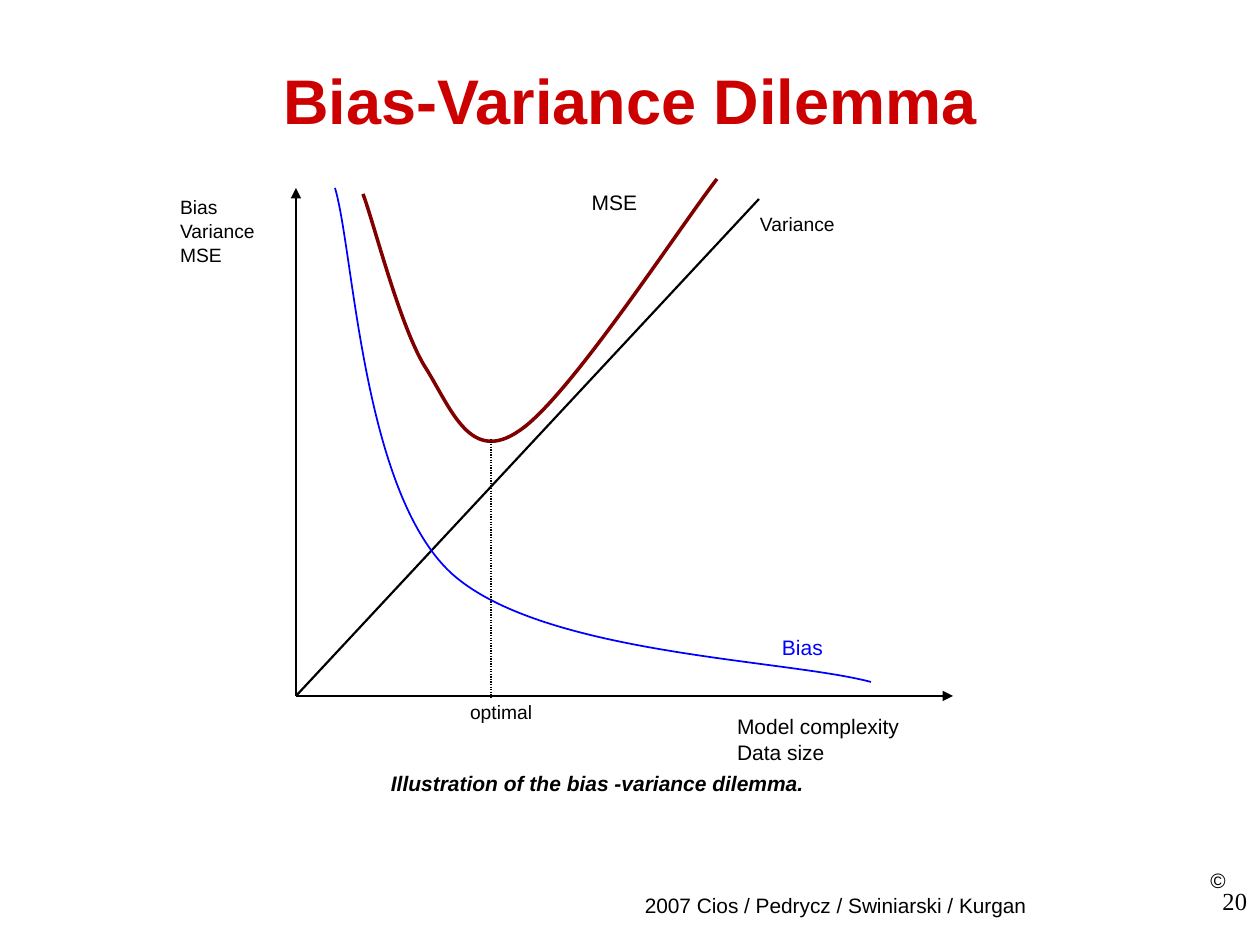
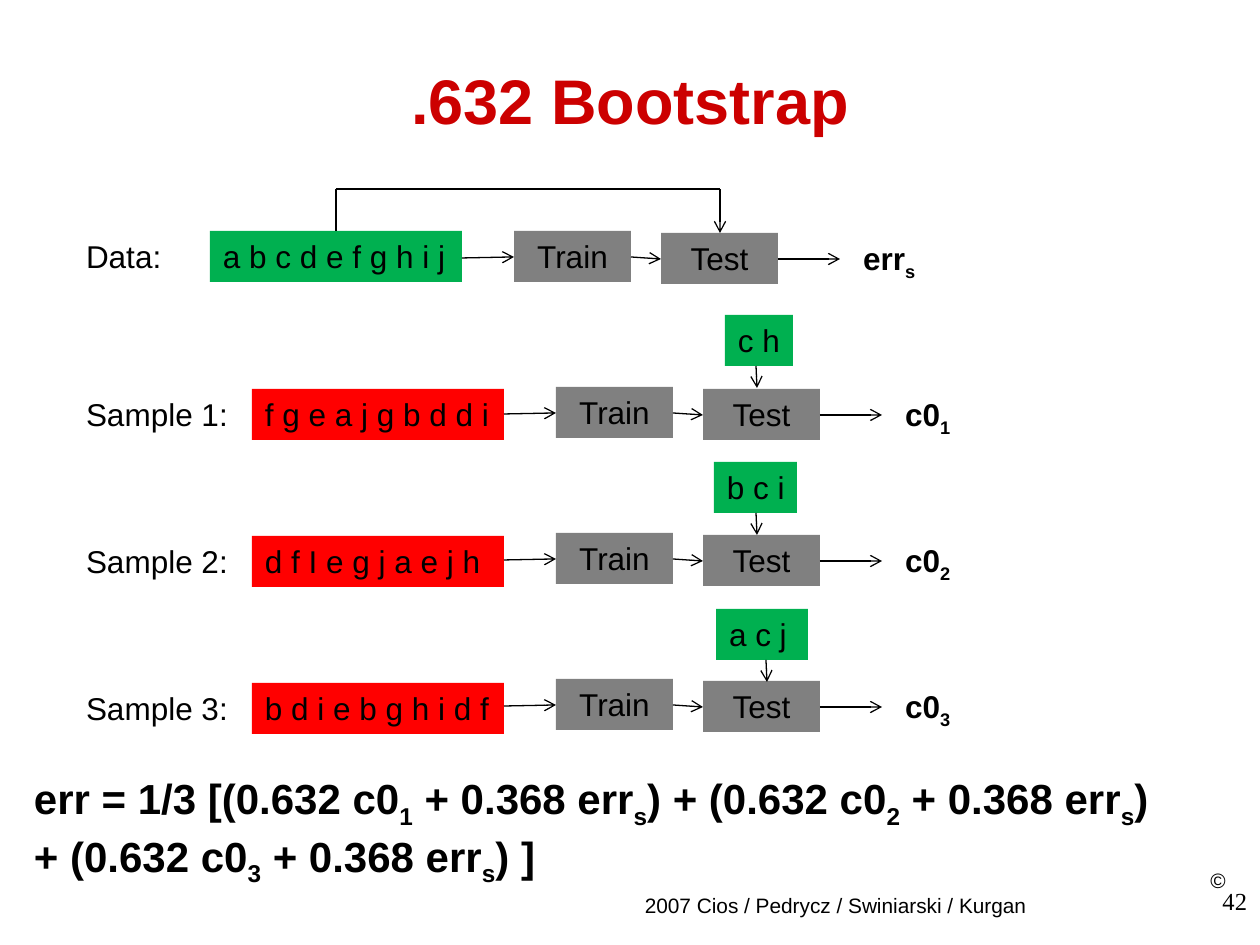
import pptx
import pptx.dml.color
import pptx.enum.dml
import pptx.enum.shapes
import pptx.enum.text
import pptx.oxml
import pptx.oxml.ns
import pptx.util

RGBColor = pptx.dml.color.RGBColor
Align = pptx.enum.text.PP_ALIGN

PX_PER_INCH = 126
SLIDE_WIDTH, SLIDE_HEIGHT = 1260, 945
TITLE_ONLY = 5

BLACK = RGBColor(0x00, 0x00, 0x00)
WHITE = RGBColor(0xFF, 0xFF, 0xFF)
TITLE_RED = RGBColor(0xCC, 0x00, 0x00)
MSE_MAROON = RGBColor(0x80, 0x00, 0x00)
BIAS_BLUE = RGBColor(0x00, 0x00, 0xFF)
DATA_GREEN = RGBColor(0x00, 0xB0, 0x50)
SAMPLE_RED = RGBColor(0xFF, 0x00, 0x00)
STEP_GRAY = RGBColor(0x80, 0x80, 0x80)

# Bootstrap diagram measures
BOX_HEIGHT = 51
DATA_WIDTH = 252
STEP_WIDTH = 117
ROW_PITCH = 147
STEP_PITCH = 146


def emu(px):
    return round(px * 914400 / PX_PER_INCH)


def add_element(parent, tag, **attributes):
    element = parent.makeelement(pptx.oxml.ns.qn(tag), attributes)
    parent.append(element)
    return element


def format_run(run, size, color=BLACK, bold=False, italic=False, font="Arial"):
    run.font.name = font
    run.font.size = pptx.util.Pt(size)
    run.font.color.rgb = color
    run.font.bold = bold
    run.font.italic = italic


def add_runs(paragraph, text):
    """Add runs; an underscore sets the next character as a subscript."""
    first, *rest = text.split("_")
    pieces = [(first, False)]
    for piece in rest:
        pieces += [(piece[0], True), (piece[1:], False)]
    for piece, subscript in pieces:
        if piece:
            run = paragraph.add_run()
            run.text = piece
            if subscript:
                run.font._element.set("baseline", "-25000")


def add_text(slide, box, text, size, align=Align.LEFT, fill=None, inset=True,
             line_spacing=None, **font):
    left, top, width, height = map(emu, box)
    if fill is None:
        shape = slide.shapes.add_textbox(left, top, width, height)
    else:
        shape = slide.shapes.add_shape(
            pptx.enum.shapes.MSO_SHAPE.RECTANGLE, left, top, width, height)
        shape.shadow.inherit = False
        shape.fill.solid()
        shape.fill.fore_color.rgb = fill
        shape.line.fill.background()
    frame = shape.text_frame
    frame.word_wrap = True
    frame.vertical_anchor = pptx.enum.text.MSO_ANCHOR.TOP
    side, edge = (emu(13), emu(6)) if inset else (0, 0)
    frame.margin_left = side
    # Left-aligned text may use the full width on the right
    frame.margin_right = 0 if align == Align.LEFT else side
    frame.margin_top = frame.margin_bottom = edge
    for index, line in enumerate(text.split("\n")):
        paragraph = frame.add_paragraph() if index else frame.paragraphs[0]
        paragraph.alignment = align
        paragraph.line_spacing = line_spacing
        add_runs(paragraph, line)
        for run in paragraph.runs:
            format_run(run, size, **font)
    return shape


def add_line(slide, start, end, arrow=None, width=0.75, dash=None):
    connector = slide.shapes.add_connector(
        pptx.enum.shapes.MSO_CONNECTOR.STRAIGHT, *map(emu, (*start, *end)))
    connector.line.color.rgb = BLACK
    connector.line.width = pptx.util.Pt(width)
    if dash is not None:
        connector.line.dash_style = dash
    if arrow:
        add_element(connector.line._get_or_add_ln(), "a:tailEnd", type=arrow)
    add_element(connector._element.spPr, "a:effectLst")


def add_curve(slide, points, color, width):
    """Draw a chain of cubic curves that share their end points."""
    ends = [tuple(map(emu, point)) for point in points[::3]]
    builder = slide.shapes.build_freeform(*ends[0])
    builder.add_line_segments(ends[1:], close=False)
    curve = builder.convert_to_shape()
    curve.shadow.inherit = False
    curve.fill.background()
    curve.line.color.rgb = color
    curve.line.width = pptx.util.Pt(width)
    # Bend each straight segment with its two control points
    outline = next(curve._element.iter(pptx.oxml.ns.qn("a:path")))
    for segment in outline.findall(pptx.oxml.ns.qn("a:lnTo")):
        outline.remove(segment)
    for first in range(1, len(points), 3):
        bend = add_element(outline, "a:cubicBezTo")
        for x, y in points[first:first + 3]:
            add_element(bend, "a:pt", x=str(emu(x) - curve.left),
                        y=str(emu(y) - curve.top))


def add_titled_slide(presentation, title_text, number):
    slide = presentation.slides.add_slide(
        presentation.slide_layouts[TITLE_ONLY])
    title = slide.shapes.title
    title.left, title.top, title.width, title.height = map(
        emu, (63, 20, 1134, 158))
    title.text_frame.text = title_text
    title.text_frame.vertical_anchor = pptx.enum.text.MSO_ANCHOR.MIDDLE
    paragraph = title.text_frame.paragraphs[0]
    paragraph.alignment = Align.CENTER
    format_run(paragraph.runs[0], 36, TITLE_RED, bold=True)
    # Footer, whose first line is indented to the right edge
    footer = add_text(slide, (431, 862, 809, 66),
                      "© 2007 Cios / Pedrycz / Swiniarski / Kurgan",
                      11.9, Align.CENTER)
    properties = footer.text_frame.paragraphs[0]._p.get_or_add_pPr()
    properties.set("marL", "0")
    properties.set("indent", str(emu(765)))
    # Slide number
    add_text(slide, (967, 880, 293, 65), str(number), 14, Align.RIGHT,
             font="Times New Roman")
    return slide


def add_dilemma_slide(presentation):
    slide = add_titled_slide(presentation, "Bias-Variance Dilemma", 20)
    # Axes
    origin = (296, 696)
    add_line(slide, origin, (296, 188), arrow="triangle")
    add_line(slide, origin, (953, 696), arrow="triangle")
    add_text(slide, (167, 188, 110, 117), "Bias Variance MSE", 11,
             line_spacing=1.04)
    add_text(slide, (737, 714, 219, 83), "Model complexity\nData size", 12,
             inset=False)
    # Variance, bias and error
    add_line(slide, origin, (759, 199), width=1.25)
    add_curve(slide, [(335, 188), (354, 252), (362, 490), (451, 573),
                      (541, 655), (784, 659), (871, 682)], BIAS_BLUE, 1)
    add_curve(slide, [(363, 194), (374, 223), (401, 331), (427, 370),
                      (452, 411), (471, 464), (519, 431),
                      (568, 399), (677, 231), (717, 179)], MSE_MAROON, 2)
    add_line(slide, (491, 439), (491, 699),
             dash=pptx.enum.dml.MSO_LINE.ROUND_DOT)
    # Labels
    add_text(slide, (457, 693, 110, 59), "optimal", 11, line_spacing=1.04)
    add_text(slide, (769, 629, 110, 59), "Bias", 12, color=BIAS_BLUE)
    add_text(slide, (747, 205, 127, 59), "Variance", 11, line_spacing=1.04)
    add_text(slide, (570, 190, 89, 33), "MSE", 12, Align.CENTER, WHITE,
             inset=False)
    add_text(slide, (280, 765, 635, 66),
             "Illustration of the bias -variance dilemma.", 12, Align.CENTER,
             WHITE, bold=True, italic=True)


def add_pipeline(slide, label, items, result, data_left, top, step_top, fill):
    """Draw one row: data, training, testing and the resulting error."""
    data_right = data_left + DATA_WIDTH
    train_left = data_right + 52
    train_right = train_left + STEP_WIDTH
    test_left = train_right + 30
    test_right = test_left + STEP_WIDTH
    test_top = step_top + 2
    train_middle, test_middle = step_top + 26, test_top + 26

    add_text(slide, (73, top, 168, BOX_HEIGHT), label, 18)
    add_text(slide, (data_left, top, DATA_WIDTH, BOX_HEIGHT), items, 18,
             fill=fill)
    add_text(slide, (train_left, step_top, STEP_WIDTH, BOX_HEIGHT), "Train",
             18, Align.CENTER, STEP_GRAY)
    add_text(slide, (test_left, test_top, STEP_WIDTH, BOX_HEIGHT), "Test",
             18, Align.CENTER, STEP_GRAY)
    add_text(slide, (test_right + 72, test_top, 95, 55), result, 18, bold=True)
    for start, end in (
            ((data_right, train_middle + 1), (train_left, train_middle)),
            ((train_right, train_middle), (test_left, test_middle)),
            ((test_right, test_middle), (test_right + 62, test_middle))):
        add_line(slide, start, end, arrow="arrow")


def add_bootstrap_slide(presentation):
    slide = add_titled_slide(presentation, ".632 Bootstrap", 42)
    # Whole data set, used for both training and testing
    add_pipeline(slide, "Data:", "a b c d e f g h i j", "err_s", 210, 231, 231,
                 DATA_GREEN)
    add_line(slide, (336, 231), (336, 189))
    add_line(slide, (336, 189), (720, 189))
    add_line(slide, (720, 189), (720, 233), arrow="arrow")
    # Samples, tested on the items left out of each
    samples = (
        ("f g e a j g b d d i", "c h", 725, 68, 756),
        ("d f I e g j a e j h", "b c i", 714, 83, 756),
        ("b d i e b g h i d f", "a c j", 716, 92, 766),
    )
    for index, (items, left_out, left, width, arrow_x) in enumerate(samples):
        top = 389 + index * ROW_PITCH
        step_top = 387 + index * STEP_PITCH
        number = index + 1
        add_pipeline(slide, f"Sample {number}:", items, f"c0_{number}", 252,
                     top, step_top, SAMPLE_RED)
        add_text(slide, (left, top - 74, width, BOX_HEIGHT), left_out, 18,
                 fill=DATA_GREEN)
        add_line(slide, (arrow_x, top - 23), (arrow_x + 1, top - 1),
                 arrow="arrow")
    # Combined error
    add_text(slide, (21, 767, 1150, 178),
             "err = 1/3 [(0.632 c0_1 + 0.368 err_s) + (0.632 c0_2 + 0.368 err_s) "
             "+ (0.632 c0_3 + 0.368 err_s) ]", 24, bold=True)


def main():
    presentation = pptx.Presentation()
    presentation.slide_width = emu(SLIDE_WIDTH)
    presentation.slide_height = emu(SLIDE_HEIGHT)
    add_dilemma_slide(presentation)
    add_bootstrap_slide(presentation)
    presentation.save("out.pptx")


if __name__ == "__main__":
    main()
